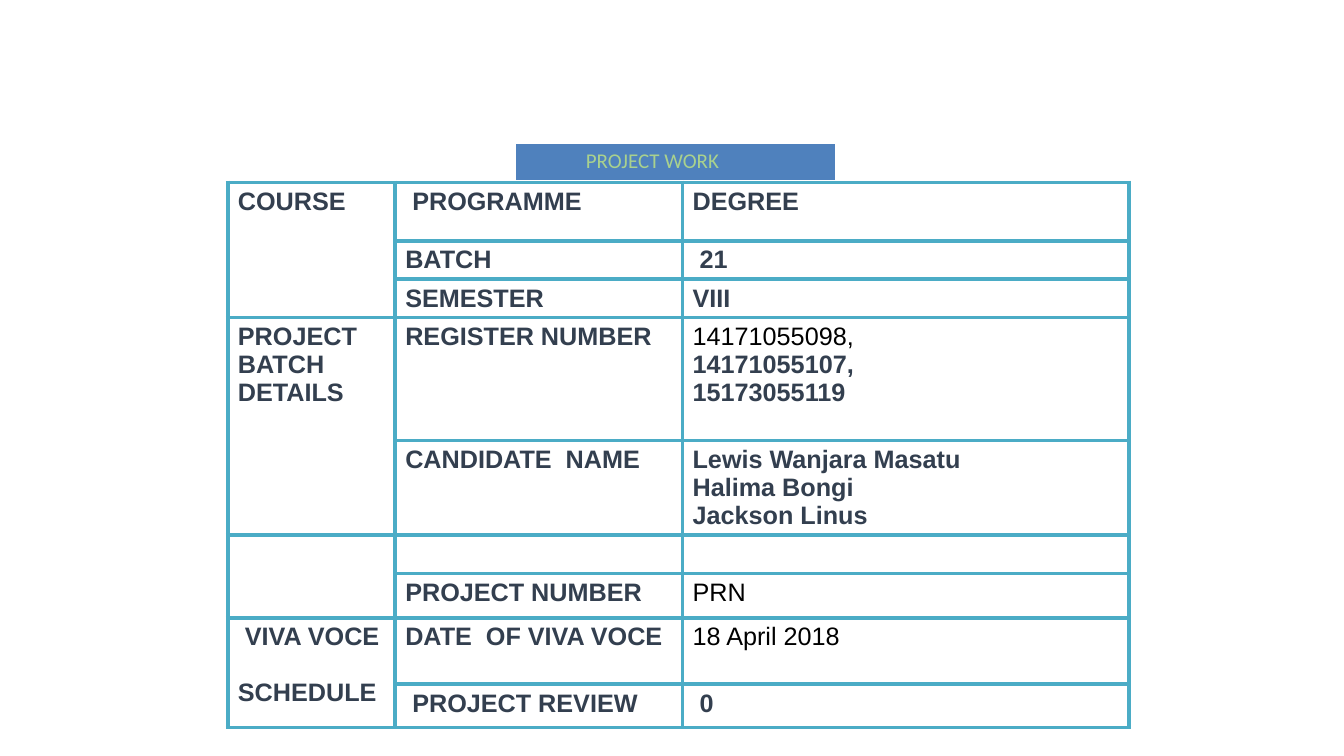
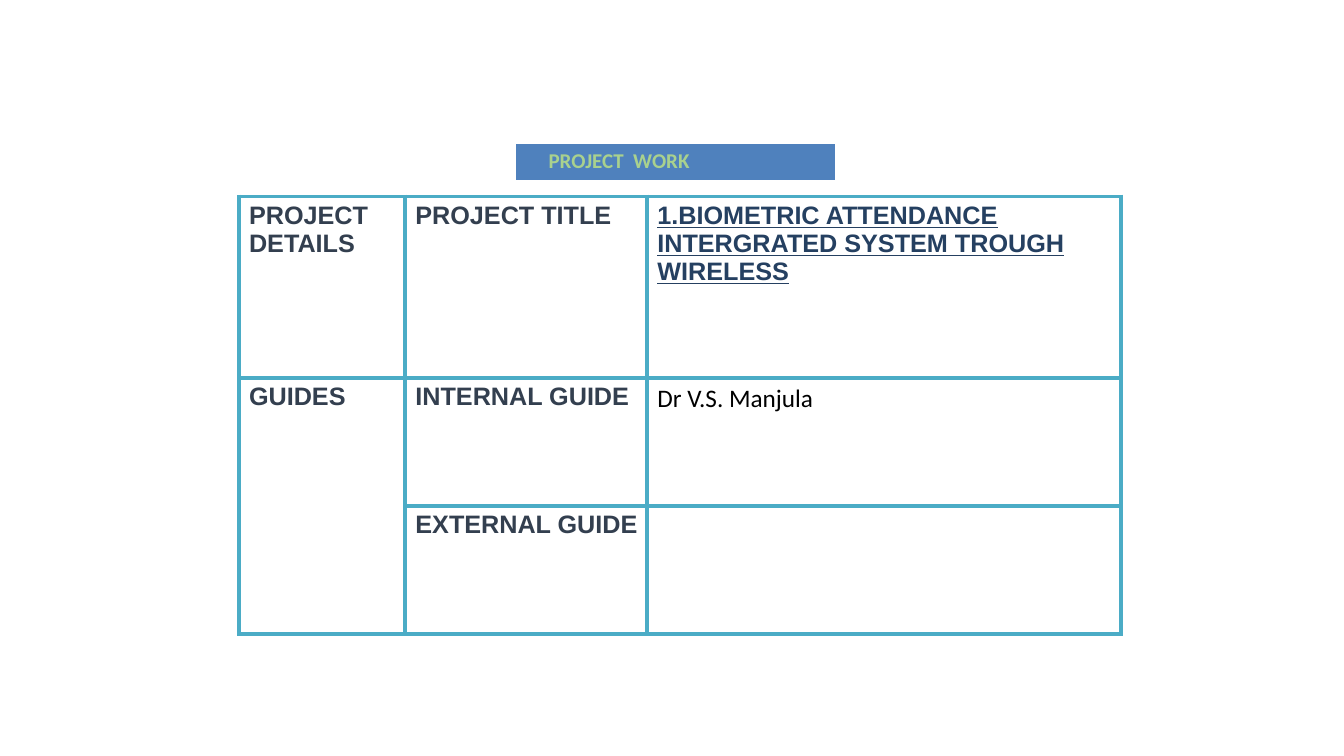
"""Build two project-work slides, each a banner title above a bordered table."""
from lxml.etree import SubElement
from pptx import Presentation
from pptx.dml.color import RGBColor
from pptx.enum.text import MSO_ANCHOR, MSO_AUTO_SIZE, PP_ALIGN
from pptx.oxml.ns import qn
from pptx.util import Inches, Pt

COLORS = {"banner": "4F81BD", "banner_text": "A9D18E", "banner_line": "FFFFFF",
          "border": "4BACC6", "label": "333F4F", "plain": "000000", "topic": "254061"}
STYLES = {
    "label": {"font": "Arial", "color": "label", "bold": True, "underline": False},
    "plain": {"font": "Arial", "color": "plain", "bold": False, "underline": False},
    "topic": {"font": "Arial", "color": "topic", "bold": True, "underline": True},
    "guide": {"font": "Calibri", "color": "plain", "bold": False, "underline": False},
    "banner": {"font": "Calibri", "color": "banner_text", "bold": False, "underline": False},
    "banner_bold": {"font": "Calibri", "color": "banner_text", "bold": True, "underline": False},
}
PAGES = [
    {"title": "PROJECT WORK", "style": "banner", "indent": 0.71,
     "at": (2.26, 1.81), "cols": [1.66, 2.85, 4.43],
     "rows": [0.58, 0.38, 0.38, 1.22, 0.94, 0.38, 0.44, 0.66, 0.43],
     "merges": [(0, 2), (3, 4), (5, 6), (7, 8)],
     "cells": [
         ["COURSE", " PROGRAMME", "DEGREE"],
         ["", "BATCH", " 21"],
         ["", "SEMESTER", "VIII"],
         ["PROJECT BATCH DETAILS", "REGISTER NUMBER", "14171055098,\n14171055107,\n15173055119"],
         ["", "CANDIDATE  NAME", "Lewis Wanjara Masatu\nHalima Bongi\nJackson Linus"],
         ["", "", ""],
         ["", "PROJECT NUMBER", "PRN"],
         [" VIVA VOCE\nSCHEDULE", "DATE  OF VIVA VOCE", "18 April 2018"],
         ["", " PROJECT REVIEW", " 0"]],
     "special": {"14171055098,": "plain", "PRN": "plain", "18 April 2018": "plain"},
     "space_before": {"SCHEDULE": 20}},
    {"title": "PROJECT  WORK", "style": "banner_bold", "indent": 0.34,
     "at": (2.37, 1.95), "cols": [1.65, 2.4, 4.7], "rows": [1.8, 1.27, 1.27],
     "merges": [(1, 2)],
     "cells": [
         ["PROJECT DETAILS", "PROJECT TITLE",
          "1.BIOMETRIC ATTENDANCE INTERGRATED SYSTEM TROUGH WIRELESS"],
         ["GUIDES", "INTERNAL GUIDE", "Dr V.S. Manjula"],
         ["", "EXTERNAL GUIDE", ""]],
     "special": {"1.BIOMETRIC ATTENDANCE INTERGRATED SYSTEM TROUGH WIRELESS": "topic",
                 "Dr V.S. Manjula": "guide"},
     "space_before": {}},
]


def format_runs(p, style, size):
    """Apply a named text style to every run of a paragraph."""
    look = STYLES[style]
    for r in p.runs:
        r.font.name, r.font.size = look["font"], Pt(size)
        r.font.bold, r.font.underline = look["bold"], look["underline"]
        r.font.color.rgb = RGBColor.from_string(COLORS[look["color"]])


def add_borders(cell):
    """Draw the same line on all four sides of a cell."""
    tcPr = cell._tc.get_or_add_tcPr()
    for side in ("lnL", "lnR", "lnT", "lnB"):
        ln = SubElement(tcPr, qn(f"a:{side}"), w=str(Pt(3)))
        fill = SubElement(ln, qn("a:solidFill"))
        SubElement(fill, qn("a:srgbClr"), val=COLORS["border"])


prs = Presentation()
prs.slide_width, prs.slide_height = Inches(13.33), Inches(7.5)

for page in PAGES:
    s = prs.slides.add_slide(prs.slide_layouts.get_by_name("Title Only"))

    sp = s.shapes.title
    sp.left, sp.top, sp.width, sp.height = (Inches(v) for v in (5.1, 1.41, 3.2, 0.39))
    geom = SubElement(sp._element.spPr, qn("a:prstGeom"), prst="roundRect")
    SubElement(geom, qn("a:avLst"))
    sp.fill.solid()
    sp.fill.fore_color.rgb = RGBColor.from_string(COLORS["banner"])
    sp.line.color.rgb = RGBColor.from_string(COLORS["banner_line"])
    sp.line.width = Pt(2)
    tf = sp.text_frame
    tf.text = page["title"]
    tf.auto_size, tf.vertical_anchor = MSO_AUTO_SIZE.NONE, MSO_ANCHOR.MIDDLE
    tf.margin_left, tf.margin_right = Inches(page["indent"]), Inches(0.06)
    tf.margin_top = tf.margin_bottom = Inches(0.08)
    p = tf.paragraphs[0]
    p.alignment, p.line_spacing, p.space_after = PP_ALIGN.LEFT, 0.9, Pt(5.2)
    format_runs(p, page["style"], 15)

    cols, rows = page["cols"], page["rows"]
    left, top = page["at"]
    table = s.shapes.add_table(len(rows), len(cols), Inches(left), Inches(top),
                               Inches(sum(cols)), Inches(sum(rows))).table
    table.first_row = table.horz_banding = False
    for column, width in zip(table.columns, cols):
        column.width = Inches(width)
    for row, height in zip(table.rows, rows):
        row.height = Inches(height)
    for first, last in page["merges"]:
        table.cell(first, 0).merge(table.cell(last, 0))

    for i, texts in enumerate(page["cells"]):
        for j, text in enumerate(texts):
            cell = table.cell(i, j)
            add_borders(cell)
            cell.fill.background()
            cell.margin_left, cell.margin_right = Inches(0.1), Inches(0.07)
            cell.margin_top, cell.margin_bottom = Inches(0.05), Inches(0.02)
            cell.text_frame.text = text
            for p in cell.text_frame.paragraphs:
                format_runs(p, page["special"].get(p.text, "label"), 18)
                p.space_before = Pt(page["space_before"].get(p.text, 0))

prs.save("out.pptx")
